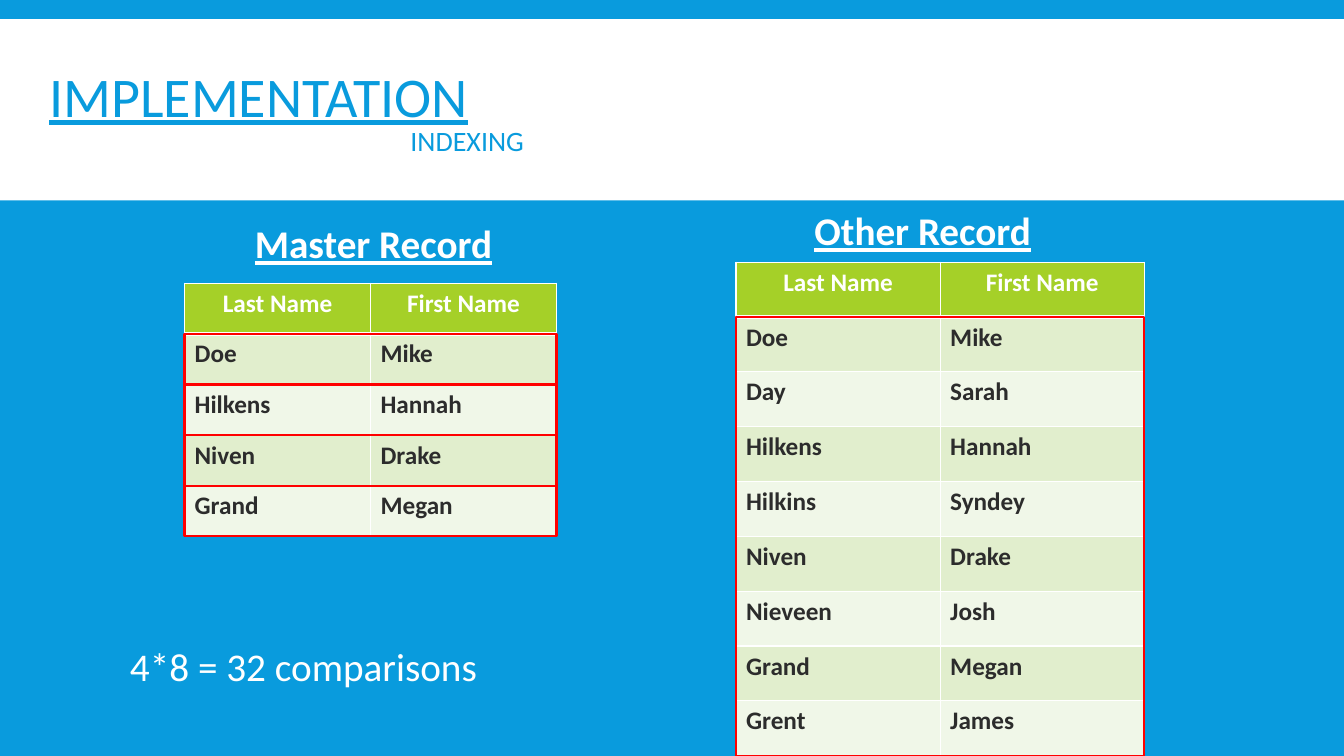
from dataclasses import dataclass

from lxml import etree
from pptx import Presentation
from pptx.dml.color import RGBColor
from pptx.enum.shapes import MSO_SHAPE
from pptx.enum.text import MSO_ANCHOR, MSO_AUTO_SIZE, PP_ALIGN
from pptx.oxml.ns import qn
from pptx.util import Inches, Pt

RECTANGLE = MSO_SHAPE.RECTANGLE
LEFT, CENTER = PP_ALIGN.LEFT, PP_ALIGN.CENTER
MIDDLE = MSO_ANCHOR.MIDDLE
GROW = MSO_AUTO_SIZE.SHAPE_TO_FIT_TEXT

BLUE = RGBColor(0x09, 0x9B, 0xDD)
WHITE = RGBColor(0xFF, 0xFF, 0xFF)
GREEN = RGBColor(0xA5, 0xD0, 0x28)
BANDS = (RGBColor(0xE1, 0xEE, 0xCD), RGBColor(0xF0, 0xF7, 0xE8))
INK = RGBColor(0x2C, 0x2C, 0x2C)
RED = RGBColor(0xFF, 0x00, 0x00)

FONT = "Calibri"
SLIDE_WIDTH, SLIDE_HEIGHT = Inches(13.33), Inches(7.5)
HEADER = ("Last Name", "First Name")
THIN, THICK = 1, 3


@dataclass(frozen=True)
class Area:
    """A rectangle in percent of the slide's width and height."""
    left: float
    top: float
    width: float
    height: float

    def lengths(self) -> tuple:
        return (across(self.left), down(self.top),
                across(self.width), down(self.height))


@dataclass(frozen=True)
class Record:
    """A table of names; each red frame spans rows_per_frame body rows."""
    heading: str
    heading_area: Area
    area: Area
    names: tuple
    rows_per_frame: int


RECORDS = (
    Record("Master Record", Area(18.23, 28.4, 23.11, 7.6),
           Area(13.73, 37.47, 27.68, 33.47),
           (("Doe", "Mike"), ("Hilkens", "Hannah"), ("Niven", "Drake"),
            ("Grand", "Megan")), 1),
    Record("Other Record", Area(59.86, 26.67, 23.11, 7.6),
           Area(54.76, 34.67, 30.38, 65.33),
           (("Doe", "Mike"), ("Day", "Sarah"), ("Hilkens", "Hannah"),
            ("Hilkins", "Syndey"), ("Niven", "Drake"), ("Nieveen", "Josh"),
            ("Grand", "Megan"), ("Grent", "James")), 8),
)
HEADER_BAND = Area(0, 2.53, 100, 24)
TITLE_AREA = Area(2.93, -9.6, 44.71, 49.47)
SUBTITLE_INDENT = 26.86
COMPARISONS_AREA = Area(8.93, 84.27, 27.76, 7.6)


def across(percent: float) -> int:
    return round(SLIDE_WIDTH * percent / 100)


def down(percent: float) -> int:
    return round(SLIDE_HEIGHT * percent / 100)


def format_font(font, color: RGBColor, **values) -> None:
    font.color.rgb = color
    for key, value in {"name": FONT, **values}.items():
        setattr(font, key, value)


def add_rectangle(slide, area: Area):
    shape = slide.shapes.add_shape(RECTANGLE, *area.lengths())
    shape.shadow.inherit = False
    return shape


def add_header_band(slide) -> None:
    band = add_rectangle(slide, HEADER_BAND)
    band.fill.solid()
    band.fill.fore_color.rgb = WHITE
    band.line.fill.background()


def add_frame(slide, area: Area) -> None:
    frame = add_rectangle(slide, area)
    frame.fill.background()
    frame.line.color.rgb = RED
    frame.line.width = Pt(1.5)


def add_label(slide, text: str, area: Area, wrap: bool = True, **values) -> None:
    text_frame = slide.shapes.add_textbox(*area.lengths()).text_frame
    text_frame.word_wrap = wrap
    text_frame.auto_size = GROW
    paragraph = text_frame.paragraphs[0]
    paragraph.text = text
    format_font(paragraph.font, WHITE, size=Pt(28), **values)


def set_title(slide) -> None:
    title = slide.shapes.title
    for key, value in zip(("left", "top", "width", "height"),
                          TITLE_AREA.lengths()):
        setattr(title, key, value)
    title.text_frame.vertical_anchor = MIDDLE
    title.text_frame.text = "IMPLEMENTATION\nINDEXING"
    heading, subtitle = title.text_frame.paragraphs
    subtitle._p.get_or_add_pPr().set("marL", str(across(SUBTITLE_INDENT)))
    for paragraph, size, underline in ((heading, 40, True),
                                       (subtitle, 20, False)):
        paragraph.alignment = LEFT
        paragraph.line_spacing = 0.85
        format_font(paragraph.runs[0].font, BLUE, size=Pt(size),
                    underline=underline)


def set_borders(cell, row: int) -> None:
    """White cell borders, thick on the line below the header row."""
    widths = {"L": THIN, "R": THIN,
              "T": THICK if row == 1 else THIN,
              "B": THICK if row == 0 else THIN}
    properties = cell._tc.get_or_add_tcPr()
    for side, width in widths.items():
        line = etree.SubElement(properties, qn(f"a:ln{side}"),
                                w=str(Pt(width)))
        fill = etree.SubElement(line, qn("a:solidFill"))
        etree.SubElement(fill, qn("a:srgbClr"), val=str(WHITE))


def add_record_table(slide, record: Record) -> None:
    rows = (HEADER, *record.names)
    table = slide.shapes.add_table(len(rows), len(HEADER),
                                   *record.area.lengths()).table
    for row, names in enumerate(rows):
        is_header = row == 0
        for column, name in enumerate(names):
            cell = table.cell(row, column)
            set_borders(cell, row)
            cell.fill.solid()
            cell.fill.fore_color.rgb = GREEN if is_header else BANDS[(row - 1) % 2]
            cell.text = name
            paragraph = cell.text_frame.paragraphs[0]
            paragraph.alignment = CENTER if is_header else LEFT
            format_font(paragraph.runs[0].font, WHITE if is_header else INK,
                        size=Pt(18), bold=True)


def add_record_frames(slide, record: Record) -> None:
    area = record.area
    row_height = area.height / (len(record.names) + 1)
    for row in range(0, len(record.names), record.rows_per_frame):
        add_frame(slide, Area(area.left, area.top + (row + 1) * row_height,
                              area.width, record.rows_per_frame * row_height))


def main() -> None:
    presentation = Presentation()
    presentation.slide_width = SLIDE_WIDTH
    presentation.slide_height = SLIDE_HEIGHT
    title_only = presentation.slide_layouts[5]
    slide = presentation.slides.add_slide(title_only)
    slide.background.fill.solid()
    slide.background.fill.fore_color.rgb = BLUE

    add_header_band(slide)
    # The title is first in the tree: lift it above the white band.
    slide.shapes._spTree.append(slide.shapes.title._element)
    set_title(slide)
    for record in RECORDS:
        add_record_table(slide, record)
        add_record_frames(slide, record)
        add_label(slide, record.heading, record.heading_area,
                  bold=True, underline=True)
    add_label(slide, "4*8 = 32 comparisons", COMPARISONS_AREA, wrap=False)
    presentation.save("out.pptx")


if __name__ == "__main__":
    main()
